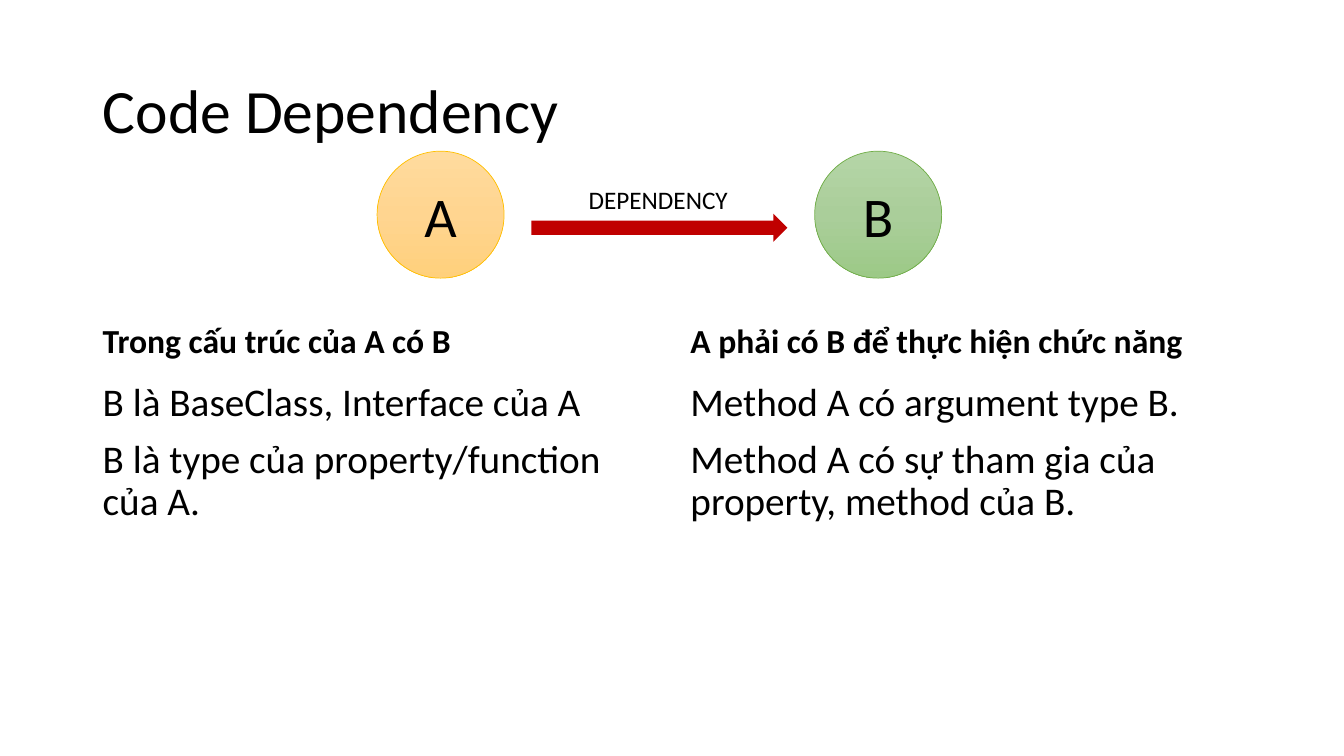
from copy import deepcopy
from dataclasses import dataclass

from pptx import Presentation
from pptx.dml.color import RGBColor
from pptx.enum.shapes import MSO_SHAPE
from pptx.enum.text import MSO_ANCHOR, MSO_AUTO_SIZE, PP_ALIGN
from pptx.oxml.ns import qn
from pptx.util import Inches, Pt

OVAL, ARROW = MSO_SHAPE.OVAL, MSO_SHAPE.RIGHT_ARROW
TOP, MIDDLE, BOTTOM = MSO_ANCHOR.TOP, MSO_ANCHOR.MIDDLE, MSO_ANCHOR.BOTTOM
LEFT, CENTER = PP_ALIGN.LEFT, PP_ALIGN.CENTER
NO_FIT = MSO_AUTO_SIZE.NONE


@dataclass(frozen=True)
class Theme:
    """Font, type sizes and colours of the slide."""
    font: str = "Calibri"
    title: int = 44
    node: int = 40
    body: int = 28
    heading: int = 24
    label: int = 18
    ink: str = "000000"
    arrow: str = "C00000"
    amber: tuple = ("FFDB9E", "FFD590", "FFD07C")
    amber_line: str = "FFC000"
    green: tuple = ("B5D5A7", "AACE9A", "9CC987")
    green_line: str = "70AD47"


THEME = Theme()


def rgb(value):
    """Return a colour from its hex value."""
    return RGBColor.from_string(value)


def write(sp, lines, size, anchor, align=LEFT, bold=False, spacing=None, wrap=True):
    """Fill a shape with one paragraph per line."""
    tf = sp.text_frame
    tf.auto_size, tf.word_wrap, tf.vertical_anchor = NO_FIT, wrap, anchor
    for i, line in enumerate(lines):
        p = tf.add_paragraph() if i else tf.paragraphs[0]
        p.alignment, p.line_spacing = align, spacing
        if i:
            p.space_before = Pt(10)
        r = p.add_run()
        r.text = line
        r.font.name, r.font.size, r.font.bold = THEME.font, Pt(size), bold
        r.font.color.rgb = rgb(THEME.ink)


def add_text(s, box, lines, size, anchor, **style):
    """Add a text box in the given box."""
    write(s.shapes.add_textbox(*map(Inches, box)), lines, size, anchor, **style)


def add_title(s, box, text):
    """Place the title placeholder."""
    sp = s.shapes.title
    sp.left, sp.top, sp.width, sp.height = map(Inches, box)
    write(sp, [text], THEME.title, MIDDLE, spacing=0.9)


def add_node(s, box, letter, colors, line):
    """Add a lettered circle with a vertical three-stop gradient."""
    sp = s.shapes.add_shape(OVAL, *map(Inches, box))
    sp.shadow.inherit = False
    sp.fill.gradient()
    sp.fill.gradient_angle = 270
    stops = sp._element.spPr.find(".//" + qn("a:gsLst"))
    stops.insert(1, deepcopy(stops[0]))
    for i, (stop, color) in enumerate(zip(sp.fill.gradient_stops, colors)):
        stop.position = i / 2
        stop.color.rgb = rgb(color)
    sp.line.color.rgb = rgb(line)
    sp.line.width = Pt(0.5)
    write(sp, [letter], THEME.node, MIDDLE, CENTER)


def add_diagram(s, box):
    """Draw A depending on B across the box."""
    x, y, w, d = box
    sp = s.shapes.add_shape(ARROW, *map(Inches, (x + 1.53, y + 0.62, 2.54, 0.28)))
    sp.shadow.inherit = False
    sp.fill.solid()
    sp.fill.fore_color.rgb = rgb(THEME.arrow)
    sp.line.fill.background()
    add_node(s, (x, y, d, d), "A", THEME.amber, THEME.amber_line)
    add_node(s, (x + w - d, y, d, d), "B", THEME.green, THEME.green_line)
    add_text(s, (x + 2, y + 0.28, 1.6, 0.4), ["DEPENDENCY"], THEME.label, TOP, wrap=False)


def add_column(s, box, heading, lines):
    """Stack a bold heading over its statements."""
    x, y, w, h = box
    add_text(s, (x, y, w, 0.68), [heading], THEME.heading, BOTTOM, bold=True, spacing=0.9)
    add_text(s, (x, y + 0.8, w, h - 0.8), lines, THEME.body, TOP, spacing=0.9)


def main():
    """Build and save the slide."""
    prs = Presentation()
    prs.slide_width, prs.slide_height = Inches(13.33), Inches(7.5)
    s = prs.slides.add_slide(prs.slide_layouts[5])
    add_title(s, (0.92, 0.4, 11.5, 1.45), "Code Dependency")
    add_column(s, (0.92, 2.95, 5.64, 3.82), "Trong cấu trúc của A có B", [
        "B là BaseClass, Interface của A",
        "B là type của property/function của A.",
    ])
    add_column(s, (6.75, 2.95, 5.67, 3.82), "A phải có B để thực hiện chức năng", [
        "Method A có argument type B.",
        "Method A có sự tham gia của property, method của B.",
    ])
    add_diagram(s, (3.74, 1.5, 5.6, 1.26))
    prs.save("out.pptx")


if __name__ == "__main__":
    main()
